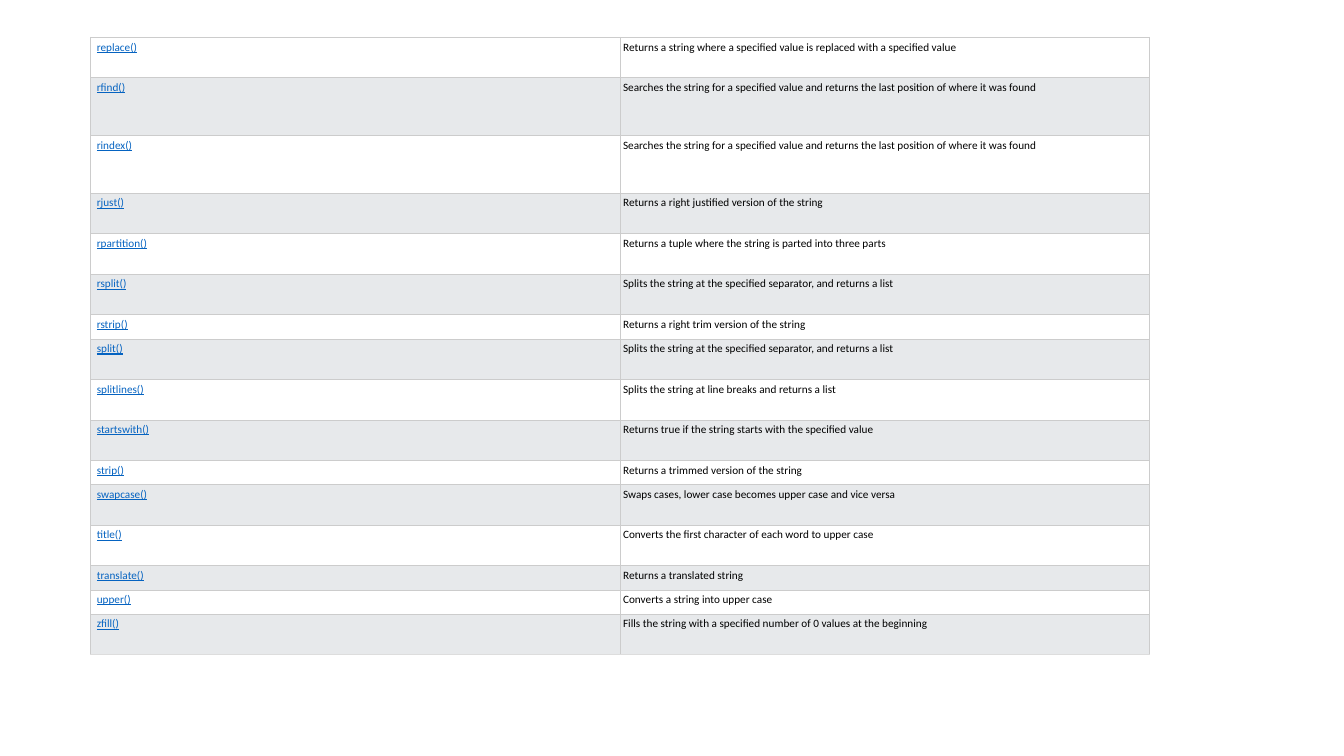
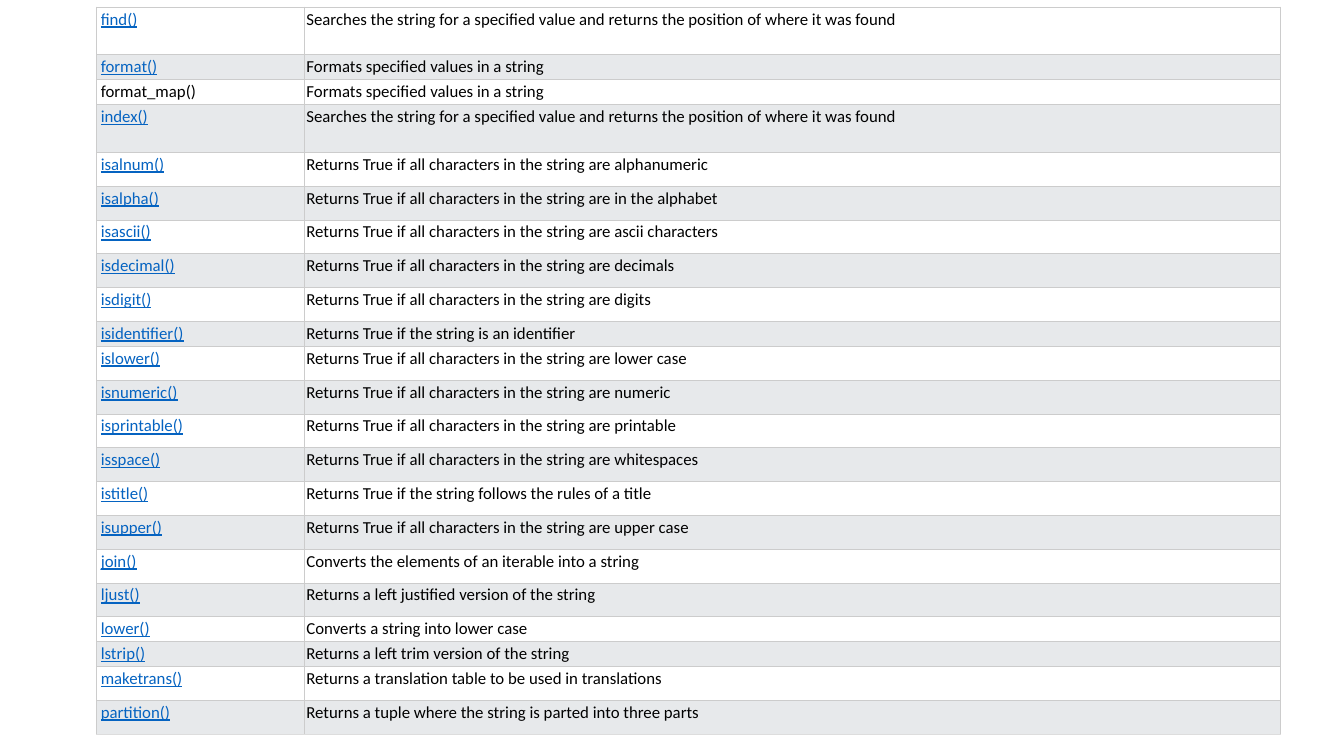
"""Build two reference slides that tabulate Python string methods."""
import dataclasses
import typing

import lxml.etree
import pptx
import pptx.dml.color
import pptx.oxml.ns
import pptx.presentation
import pptx.table
import pptx.util

PX = 9144


@dataclasses.dataclass(frozen=True)
class Theme:
    font: str = "Calibri"
    link: str = "0563C1"
    text: str = "000000"
    bands: tuple[str, str] = ("FFFFFF", "E7E9EB")
    border: str = "CCCCCC"
    last_border: str = "DDDDDD"
    border_pt: float = 0.6
    small_pt: int = 8
    normal_pt: int = 12


class Method(typing.NamedTuple):
    name: str
    summary: str
    lines: int = 2
    linked: bool = True


@dataclasses.dataclass(frozen=True)
class MethodTable:
    left: int
    top: int
    height: int
    columns: tuple[int, int]
    line_heights: tuple[int, int, int]
    margin: int
    name_margin: int
    size_pt: int
    methods: tuple[Method, ...]


THEME = Theme()

TABLES = (
    MethodTable(
        left=90, top=37, height=613, columns=(525, 525), line_heights=(24, 40, 57),
        margin=3, name_margin=6, size_pt=THEME.small_pt,
        methods=(
            Method("replace()", "Returns a string where a specified value is replaced with a specified value"),
            Method("rfind()", "Searches the string for a specified value and returns the last position of where it was found", 3),
            Method("rindex()", "Searches the string for a specified value and returns the last position of where it was found", 3),
            Method("rjust()", "Returns a right justified version of the string"),
            Method("rpartition()", "Returns a tuple where the string is parted into three parts"),
            Method("rsplit()", "Splits the string at the specified separator, and returns a list"),
            Method("rstrip()", "Returns a right trim version of the string", 1),
            Method("split()", "Splits the string at the specified separator, and returns a list"),
            Method("splitlines()", "Splits the string at line breaks and returns a list"),
            Method("startswith()", "Returns true if the string starts with the specified value"),
            Method("strip()", "Returns a trimmed version of the string", 1),
            Method("swapcase()", "Swaps cases, lower case becomes upper case and vice versa"),
            Method("title()", "Converts the first character of each word to upper case"),
            Method("translate()", "Returns a translated string", 1),
            Method("upper()", "Converts a string into upper case", 1),
            Method("zfill()", "Fills the string with a specified number of 0 values at the beginning"),
        ),
    ),
    MethodTable(
        left=96, top=7, height=722, columns=(206, 968), line_heights=(25, 34, 48),
        margin=2, name_margin=4, size_pt=THEME.normal_pt,
        methods=(
            Method("find()", "Searches the string for a specified value and returns the position of where it was found", 3),
            Method("format()", "Formats specified values in a string", 1),
            Method("format_map()", "Formats specified values in a string", 1, linked=False),
            Method("index()", "Searches the string for a specified value and returns the position of where it was found", 3),
            Method("isalnum()", "Returns True if all characters in the string are alphanumeric"),
            Method("isalpha()", "Returns True if all characters in the string are in the alphabet"),
            Method("isascii()", "Returns True if all characters in the string are ascii characters"),
            Method("isdecimal()", "Returns True if all characters in the string are decimals"),
            Method("isdigit()", "Returns True if all characters in the string are digits"),
            Method("isidentifier()", "Returns True if the string is an identifier", 1),
            Method("islower()", "Returns True if all characters in the string are lower case"),
            Method("isnumeric()", "Returns True if all characters in the string are numeric"),
            Method("isprintable()", "Returns True if all characters in the string are printable"),
            Method("isspace()", "Returns True if all characters in the string are whitespaces"),
            Method("istitle()", "Returns True if the string follows the rules of a title"),
            Method("isupper()", "Returns True if all characters in the string are upper case"),
            Method("join()", "Converts the elements of an iterable into a string"),
            Method("ljust()", "Returns a left justified version of the string"),
            Method("lower()", "Converts a string into lower case", 1),
            Method("lstrip()", "Returns a left trim version of the string", 1),
            Method("maketrans()", "Returns a translation table to be used in translations"),
            Method("partition()", "Returns a tuple where the string is parted into three parts"),
        ),
    ),
)


def px(length: float) -> pptx.util.Emu:
    return pptx.util.Emu(round(length * PX))


def rgb(color: str) -> pptx.dml.color.RGBColor:
    return pptx.dml.color.RGBColor.from_string(color)


def set_borders(cell: pptx.table._Cell, bottom: str) -> None:
    qn = pptx.oxml.ns.qn
    tc_pr = cell._tc.get_or_add_tcPr()
    width = str(int(pptx.util.Pt(THEME.border_pt)))
    for side in "LRTB":
        ln = lxml.etree.SubElement(tc_pr, qn(f"a:ln{side}"), w=width)
        fill = lxml.etree.SubElement(ln, qn("a:solidFill"))
        color = bottom if side == "B" else THEME.border
        lxml.etree.SubElement(fill, qn("a:srgbClr"), val=color)


def write_cell(cell: pptx.table._Cell, text: str, size_pt: int, linked: bool) -> None:
    r = cell.text_frame.paragraphs[0].add_run()
    r.text = text
    r.font.name = THEME.font
    r.font.size = pptx.util.Pt(size_pt)
    r.font.color.rgb = rgb(THEME.link if linked else THEME.text)
    r.font.underline = linked


def add_method_table(prs: pptx.presentation.Presentation, spec_table: MethodTable) -> None:
    s = prs.slides.add_slide(prs.slide_layouts[6])
    methods = spec_table.methods
    frame = s.shapes.add_table(
        len(methods), 2, px(spec_table.left), px(spec_table.top),
        px(sum(spec_table.columns)), px(spec_table.height),
    )
    table = frame.table
    table.first_row = table.horz_banding = False
    for column, width in zip(table.columns, spec_table.columns):
        column.width = px(width)
    heights = [spec_table.line_heights[method.lines - 1] for method in methods]
    stretch = spec_table.height / sum(heights)
    for i, (method, height) in enumerate(zip(methods, heights)):
        table.rows[i].height = px(height * stretch)
        bottom = THEME.last_border if i == len(methods) - 1 else THEME.border
        contents = (
            (method.name, spec_table.name_margin, method.linked),
            (method.summary, spec_table.margin, False),
        )
        for j, (text, left_margin, linked) in enumerate(contents):
            cell = table.cell(i, j)
            cell.margin_left = px(left_margin)
            cell.margin_right = cell.margin_top = cell.margin_bottom = px(spec_table.margin)
            set_borders(cell, bottom)
            cell.fill.solid()
            cell.fill.fore_color.rgb = rgb(THEME.bands[i % 2])
            write_cell(cell, text, spec_table.size_pt, linked)


def main() -> None:
    prs = pptx.Presentation()
    prs.slide_width, prs.slide_height = px(1333), px(750)
    for method_table in TABLES:
        add_method_table(prs, method_table)
    prs.save("out.pptx")


if __name__ == "__main__":
    main()
